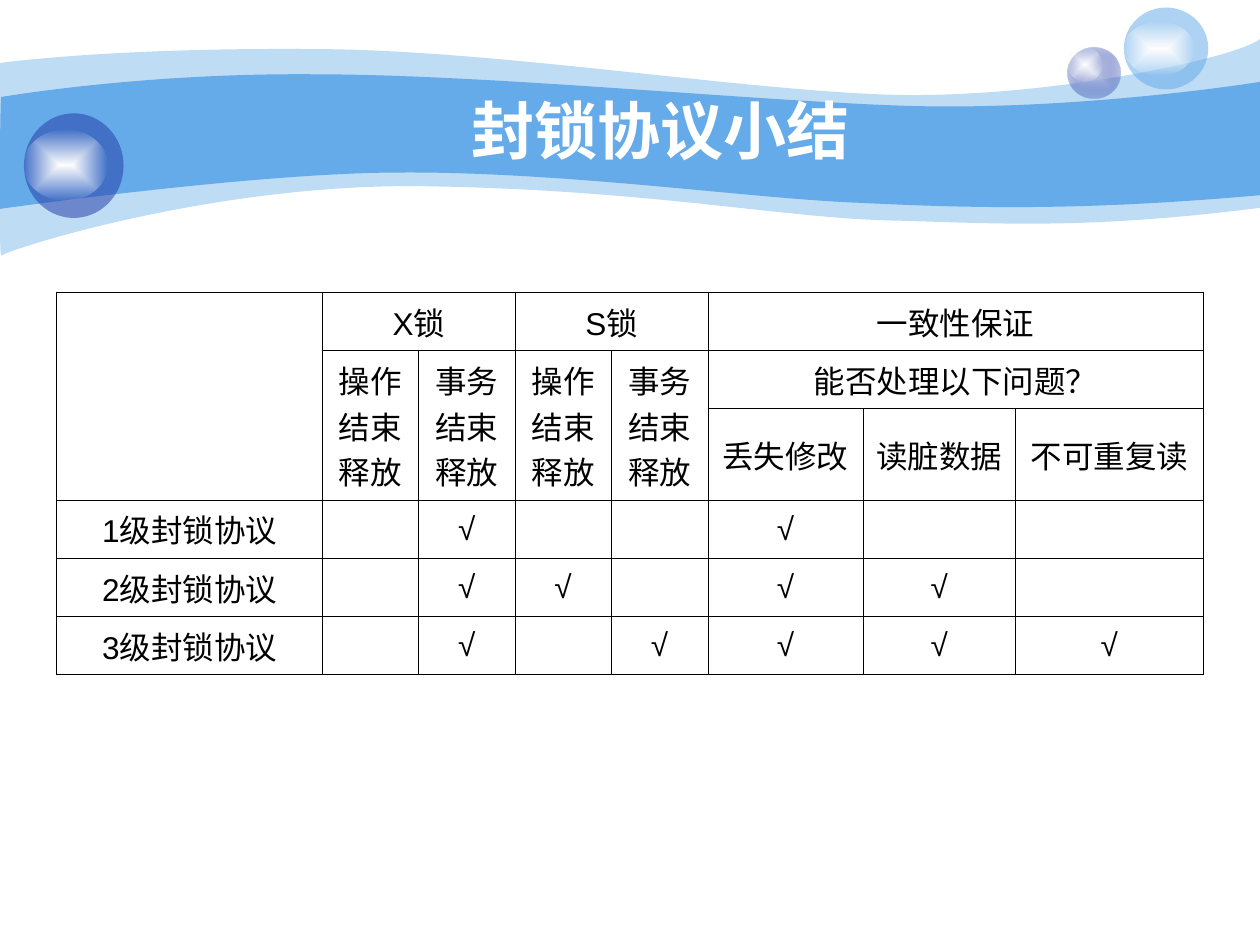
"""Build a slide that sums up the three levels of locking protocol in a table."""
from pptx import Presentation
from pptx.dml.color import RGBColor
from pptx.enum.shapes import MSO_SHAPE
from pptx.enum.text import MSO_ANCHOR, PP_ALIGN
from pptx.oxml import parse_xml
from pptx.oxml.ns import nsdecls
from pptx.util import Inches, Pt

OVAL = MSO_SHAPE.OVAL
CENTER = PP_ALIGN.CENTER
MIDDLE = MSO_ANCHOR.MIDDLE
COLORS = {"sky": "65AAE9", "navy": "233DA9", "mist": "C7CEE9", "white": "FFFFFF", "black": "000000"}


def paint(shape, stops):
    """Fill a shape with one (colour, opacity) stop, or a centred gradient of two."""
    shape.shadow.inherit = False
    shape.line.fill.background()
    shape.fill.background()
    tints = [
        f'<a:srgbClr val="{COLORS[name]}"><a:alpha val="{opacity * 1000}"/></a:srgbClr>'
        for name, opacity in stops
    ]
    if len(tints) == 1:
        fill = f'<a:solidFill {nsdecls("a")}>{tints[0]}</a:solidFill>'
    else:
        fill = (
            f'<a:gradFill {nsdecls("a")} rotWithShape="1"><a:gsLst>'
            f'<a:gs pos="0">{tints[0]}</a:gs><a:gs pos="100000">{tints[1]}</a:gs></a:gsLst>'
            '<a:path path="rect"><a:fillToRect l="50000" t="50000" r="50000" b="50000"/></a:path>'
            '</a:gradFill>'
        )
    properties = shape.element.spPr
    properties.replace(properties.find("{*}noFill"), parse_xml(fill))


def write(frame, text, size, color, bold):
    """Put one centred line of formatted text in a frame."""
    para = frame.paragraphs[0]
    para.alignment = CENTER
    span = para.add_run()
    span.text = text
    for name, value in {"name": "Arial", "size": Pt(size), "bold": bold}.items():
        setattr(span.font, name, value)
    span.font.color.rgb = RGBColor.from_string(COLORS[color])


deck = Presentation()
deck.slide_width, deck.slide_height = Inches(10), Inches(7.5)
page = deck.slides.add_slide(deck.slide_layouts[5])

waves = [
    (41, (-0.01, 0.31, 10.01, 1.77), [
        [(0, 0.5)],
        [(0.24, 0.47), (1.07, 0.38), (2.47, 0.39)],
        [(3.86, 0.39), (5.75, 0.7), (6.99, 0.75)],
        [(8.22, 0.8), (9.8, 0.47), (10, 0.31)],
        [(10, 1.65)],
        [(8.58, 1.83), (7.87, 1.77), (7.05, 1.75)],
        [(6.22, 1.73), (5.15, 1.51), (3.43, 1.48)],
        [(1.72, 1.44), (0.04, 1.99), (0.01, 2.03)],
        [(-0.01, 2.08), (0, 0.75), (0, 0.5)],
    ]),
    (100, (-0.02, 0.58, 10.02, 1.1), [
        [(0.01, 0.77)],
        [(0.02, 0.77), (1.1, 0.58), (2.48, 0.59)],
        [(3.86, 0.59), (5.95, 0.8), (7.18, 0.84)],
        [(8.41, 0.88), (9.76, 0.69), (10, 0.65)],
        [(10, 1.55)],
        [(8.53, 1.68), (7.65, 1.65), (6.82, 1.61)],
        [(5.99, 1.58), (4.47, 1.36), (3.17, 1.37)],
        [(2.03, 1.37), (-0.02, 1.66), (-0.01, 1.66)],
        [(0, 1.66), (0, 0.77), (0.01, 0.77)],
    ]),
]
for opacity, place, pieces in waves:
    left, top, width, height = map(Inches, place)
    outline = page.shapes.build_freeform(left, top)
    outline.add_line_segments([(left + width, top), (left + width, top + height), (left, top + height)])
    wave = outline.convert_to_shape()
    steps = ""
    for index, piece in enumerate(pieces):
        tag = "moveTo" if index == 0 else "lnTo" if len(piece) == 1 else "cubicBezTo"
        points = "".join(f'<a:pt x="{Inches(x) - left}" y="{Inches(y) - top}"/>' for x, y in piece)
        steps += f"<a:{tag}>{points}</a:{tag}>"
    route = wave.element.spPr.find(".//{*}pathLst")
    route.replace(route[0], parse_xml(
        f'<a:path {nsdecls("a")} w="{width}" h="{height}">{steps}<a:close/></a:path>'
    ))
    paint(wave, [("sky", opacity)])

shine = [("white", 100), ("white", 0)]
bubbles = [
    ((8.47, 0.38, 0.42, 0.4), [("mist", 100), ("navy", 31)], (8.47, 0.38, 0.28, 0.27)),
    ((8.92, 0.06, 0.67, 0.65), [("sky", 53)], (8.92, 0.17, 0.56, 0.43)),
    ((0.19, 0.9, 0.79, 0.83), [("navy", 53)], (0.19, 1.03, 0.66, 0.56)),
]
for ball, stops, glint in bubbles:
    bubble = page.shapes.add_group_shape()
    for place, tint in ((ball, stops), (glint, shine)):
        paint(bubble.shapes.add_shape(OVAL, *map(Inches, place)), tint)

title = page.shapes.title
title.element.getparent().append(title.element)
title.left, title.top, title.width, title.height = map(Inches, (0.98, 0.5, 8.52, 1.05))
title.text_frame.vertical_anchor = MIDDLE
write(title.text_frame, "封锁协议小结", 36, "white", True)

release = ["操作结束释放", "事务结束释放"]
rows = [
    ["", "X锁", "", "S锁", "", "一致性保证", "", ""],
    ["", *release, *release, "能否处理以下问题？", "", ""],
    ["", "", "", "", "", "丢失修改", "读脏数据", "不可重复读"],
    ["1级封锁协议", "", "√", "", "", "√", "", ""],
    ["2级封锁协议", "", "√", "√", "", "√", "√", ""],
    ["3级封锁协议", "", "√", "", "√", "√", "√", "√"],
]
widths = [2.11, 0.76, 0.77, 0.76, 0.77, 1.23, 1.21, 1.49]
heights = [0.42, 0.42, 0.59, 0.42, 0.42, 0.42]
merges = [(0, 0, 2, 0), (0, 1, 0, 2), (0, 3, 0, 4), (0, 5, 0, 7), (1, 5, 1, 7)]
merges += [(1, column, 2, column) for column in range(1, 5)]

frame = page.shapes.add_table(len(rows), len(widths), *map(Inches, (0.45, 2.32, 9.1, 2.67)))
table = frame.table
table.first_row = table.horz_banding = False
for column, width in zip(table.columns, widths):
    column.width = Inches(width)
for row, height in zip(table.rows, heights):
    row.height = Inches(height)
for top, left, bottom, right in merges:
    table.cell(top, left).merge(table.cell(bottom, right))

for row, texts in zip(table.rows, rows):
    for cell, text in zip(row.cells, texts):
        cell.vertical_anchor = MIDDLE
        cell.fill.background()
        if text:
            write(cell.text_frame, text, 18, "black", False)
        properties = cell._tc.get_or_add_tcPr()
        for index, side in enumerate(("lnL", "lnR", "lnT", "lnB")):
            properties.insert(index, parse_xml(
                f'<a:{side} {nsdecls("a")} w="{Pt(0.45)}"><a:solidFill>'
                f'<a:srgbClr val="{COLORS["black"]}"/></a:solidFill></a:{side}>'
            ))

deck.save("out.pptx")
